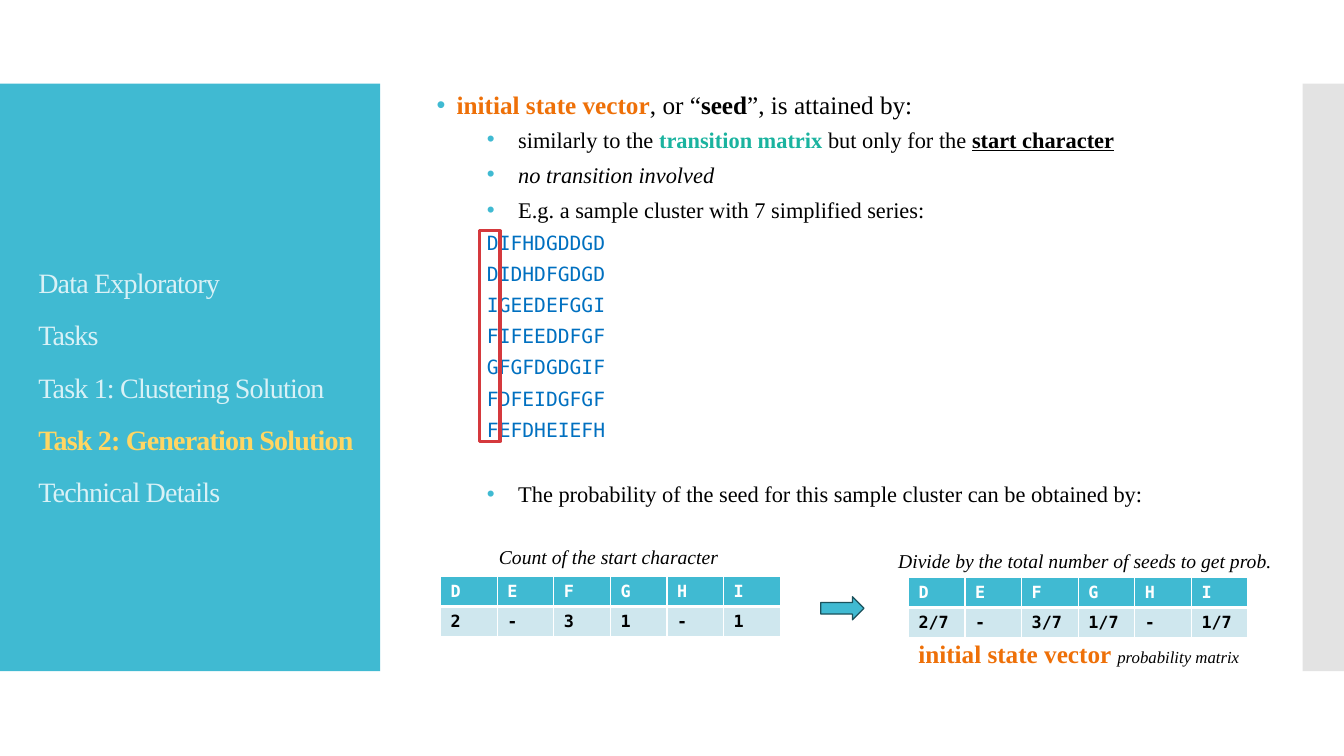
from dataclasses import dataclass

from lxml import etree
from pptx import Presentation
from pptx.dml.color import RGBColor
from pptx.enum.shapes import MSO_SHAPE
from pptx.enum.text import MSO_ANCHOR, MSO_AUTO_SIZE, PP_ALIGN
from pptx.oxml.ns import qn
from pptx.util import Inches, Pt

RECT, RIGHT_ARROW = MSO_SHAPE.RECTANGLE, MSO_SHAPE.RIGHT_ARROW
TOP, MIDDLE = MSO_ANCHOR.TOP, MSO_ANCHOR.MIDDLE
NO_FIT, FIT_SHAPE = MSO_AUTO_SIZE.NONE, MSO_AUTO_SIZE.SHAPE_TO_FIT_TEXT
LEFT = PP_ALIGN.LEFT


@dataclass(frozen=True)
class Theme:
    serif: str = "Times New Roman"
    mono: str = "DejaVu Sans Mono"
    accent: str = "40BAD2"
    side: str = "C8C8C8"
    nav: str = "D9F1F6"
    nav_active: str = "FFD663"
    orange: str = "EE7008"
    green: str = "1AB39F"
    code: str = "0070C0"
    text: str = "000000"
    white: str = "FFFFFF"
    row: str = "CFE7EE"
    arrow_line: str = "1C525C"
    marker: str = "D5393D"
    nav_size: float = 20
    lead_size: float = 18
    item_size: float = 16
    code_size: float = 14
    caption_size: float = 14
    small_size: float = 12


def child(parent, tag, **attrs):
    return etree.SubElement(parent, qn(tag), attrs)


class SlideBuilder:
    def __init__(self, prs, theme):
        self.t = theme
        self.s = prs.slides.add_slide(prs.slide_layouts[1])

    def place(self, sp, box):
        sp.left, sp.top, sp.width, sp.height = map(Inches, box)

    def run(self, p, text, size, color=None, bold=False, italic=False,
            underline=False, font=None):
        r = p.add_run()
        r.text = text
        f = r.font
        f.name, f.size = font or self.t.serif, Pt(size)
        f.bold, f.italic, f.underline = bold, italic, underline
        f.color.rgb = RGBColor.from_string(color or self.t.text)
        return r

    def shape(self, kind, box, fill=None, line=None, width=0):
        sp = self.s.shapes.add_shape(kind, *map(Inches, box))
        sp.shadow.inherit = False
        if fill:
            sp.fill.solid()
            sp.fill.fore_color.rgb = RGBColor.from_string(fill)
        else:
            sp.fill.background()
        if line:
            sp.line.color.rgb = RGBColor.from_string(line)
            sp.line.width = Pt(width)
        else:
            sp.line.fill.background()
        return sp

    def panel(self, box, fill, alpha=100):
        """Add a rectangle behind the placeholders."""
        sp = self.shape(RECT, box, fill)
        if alpha < 100:
            color = sp.fill._xPr.find(".//" + qn("a:srgbClr"))
            child(color, "a:alpha", val=str(alpha * 1000))
        sp._element.getparent().insert(2, sp._element)

    def navigation(self, box, entries, active):
        sp = self.s.shapes.title
        self.place(sp, box)
        tf = sp.text_frame
        tf.word_wrap, tf.auto_size, tf.vertical_anchor = True, NO_FIT, MIDDLE
        for i, entry in enumerate(entries):
            p = tf.add_paragraph() if i else tf.paragraphs[0]
            p.alignment, p.line_spacing = LEFT, 1.56
            on = entry == active
            r = self.run(p, entry, self.t.nav_size,
                         self.t.nav_active if on else self.t.nav, bold=on)
            r.font._element.set("spc", "-60")

    def body(self, box):
        sp = self.s.placeholders[1]
        self.place(sp, box)
        self.tf = sp.text_frame
        self.tf.word_wrap, self.tf.auto_size = True, NO_FIT
        self.tf.vertical_anchor = TOP

    def item(self, runs, size, level=1, margin=0.81, indent=-0.31, before=2.5,
             after=2.5, spacing=1.05, bullet=True, font=None):
        """Add a body paragraph; runs are (text, formatting) pairs."""
        first = self.tf.paragraphs[0]
        p = self.tf.add_paragraph() if first.runs else first
        p.level, p.alignment, p.line_spacing = level, LEFT, spacing
        p.space_before, p.space_after = Pt(before), Pt(after)
        pPr = p._p.get_or_add_pPr()
        pPr.set("marL", str(Inches(margin)))
        pPr.set("indent", str(Inches(indent)))
        if bullet:
            child(child(pPr, "a:buClr"), "a:srgbClr", val=self.t.accent)
            child(pPr, "a:buFont", typeface="Arial")
            child(pPr, "a:buChar", char="•")
        else:
            child(pPr, "a:buNone")
        for text, style in runs:
            self.run(p, text, size, font=font, **style)

    def border(self, cell, bottom):
        tcPr = cell._tc.get_or_add_tcPr()
        for side, width in (("L", 1), ("R", 1), ("T", 1), ("B", bottom)):
            ln = child(tcPr, "a:ln" + side, w=str(Pt(width)))
            child(child(ln, "a:solidFill"), "a:srgbClr", val=self.t.white)

    def table(self, box, rows):
        t = self.t
        tbl = self.s.shapes.add_table(len(rows), len(rows[0]), *map(Inches, box)).table
        looks = ((t.accent, t.white, 3), (t.row, t.text, 1))
        for i, (row, (fill, color, bottom)) in enumerate(zip(rows, looks)):
            for j, value in enumerate(row):
                cell = tbl.cell(i, j)
                self.border(cell, bottom)
                cell.fill.solid()
                cell.fill.fore_color.rgb = RGBColor.from_string(fill)
                self.run(cell.text_frame.paragraphs[0], value, t.small_size,
                         color, bold=True, font=t.mono)

    def label(self, box, runs, wrap=False):
        """Add a text box; runs are (text, size, formatting) triples."""
        tf = self.s.shapes.add_textbox(*map(Inches, box)).text_frame
        tf.word_wrap, tf.auto_size = wrap, FIT_SHAPE
        for text, size, style in runs:
            self.run(tf.paragraphs[0], text, size, **style)


def main():
    prs = Presentation()
    prs.slide_width, prs.slide_height = Inches(13.33), Inches(7.5)
    t = Theme()
    b = SlideBuilder(prs, t)

    b.panel((0, 0.83, 3.77, 5.83), t.accent)
    b.panel((12.92, 0.83, 0.41, 5.83), t.side, alpha=50)
    b.navigation((0.28, 1.23, 3.35, 5.03),
                 ["Data Exploratory", "Tasks", "Task 1: Clustering Solution",
                  "Task 2: Generation Solution", "Technical Details"],
                 active="Task 2: Generation Solution")

    bold, italic = {"bold": True}, {"italic": True}
    term = {"bold": True, "color": t.orange}
    b.body((4.23, 0.82, 8.3, 5.73))
    b.item([("initial state vector", term), (", or “", {}), ("seed", bold),
            ("”, is attained by:", {})],
           t.lead_size, level=0, margin=0.2, indent=-0.2, before=0, after=1)
    b.item([("similarly to the ", {}),
            ("transition matrix ", {"bold": True, "color": t.green}),
            ("but only for the ", {}),
            ("start character", {"bold": True, "underline": True})], t.item_size)
    b.item([("no transition involved", italic)], t.item_size)
    b.item([("E.g. a sample cluster with 7 simplified series:", {})], t.item_size)
    for series in ("DIFHDGDDGD", "DIDHDFGDGD", "IGEEDEFGGI", "FIFEEDDFGF",
                   "GFGFDGDGIF", "FDFEIDGFGF", "FEFDHEIEFH"):
        b.item([(series, {"color": t.code})], t.code_size, margin=0.5, indent=0,
               spacing=1.03, bullet=False, font=t.mono)
    b.item([("The probability of the seed for this sample cluster can be "
             "obtained by:", {})], t.item_size, before=24.5)

    states = list("DEFGHI")
    b.table((4.37, 5.72, 3.37, 0.58), [states, ["2", "-", "3", "1", "-", "1"]])
    b.table((9.01, 5.73, 3.37, 0.58),
            [states, ["2/7", "-", "3/7", "1/7", "-", "1/7"]])
    b.shape(RIGHT_ARROW, (8.14, 5.92, 0.43, 0.23), t.accent, t.arrow_line, 0.85)
    b.shape(RECT, (4.76, 2.29, 0.2, 2.09), line=t.marker, width=2.25)
    b.label((4.85, 5.36, 2.4, 0.34),
            [("Count of the start character", t.caption_size, italic)])
    b.label((8.81, 5.4, 3.94, 0.34),
            [("Divide by the total number of seeds to get prob.",
              t.caption_size, italic)])
    b.label((9.01, 6.28, 3.96, 0.4),
            [("initial state vector ", t.lead_size, term),
             ("probability matrix", t.small_size, italic)], wrap=True)
    prs.save("out.pptx")


if __name__ == "__main__":
    main()
